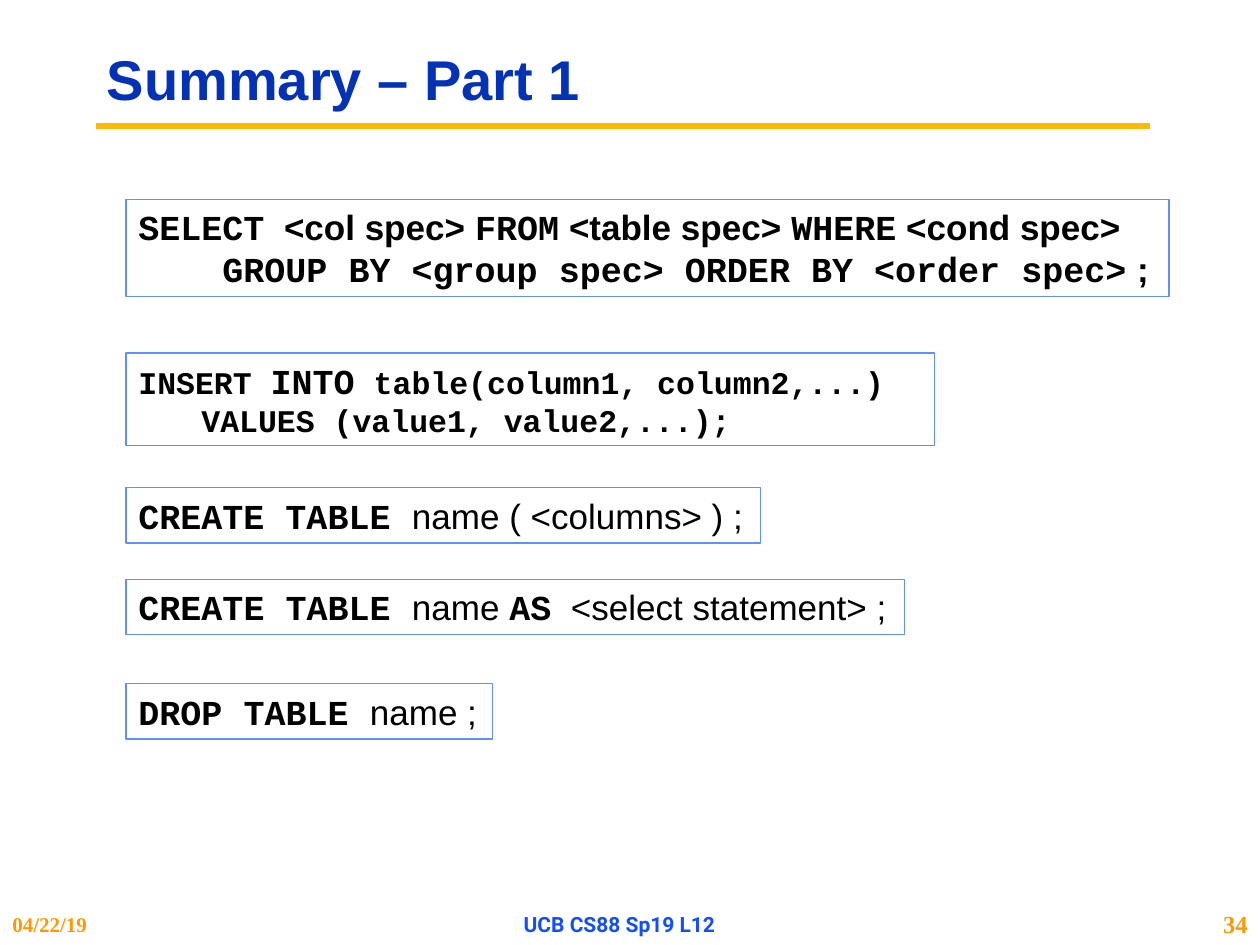
from pptx import Presentation
from pptx.dml.color import RGBColor
from pptx.enum.shapes import MSO_CONNECTOR, MSO_SHAPE
from pptx.enum.text import MSO_ANCHOR, PP_ALIGN
from pptx.oxml.ns import qn
from pptx.util import Pt
from lxml.etree import SubElement

SANS, MONO, SERIF = "Arial", "Courier New", "Times New Roman"
BLACK, BLUE, GOLD, ORANGE = "000000", "0332B7", "FBBA03", "FF9900"
BOX_LINE, FOOTER_BLUE = "618FFD", "114FFB"
BOX_LEFT = 72


def code(text, size=20):
    return text, MONO, size, BLACK, True


def words(text, bold=False):
    return text, SANS, 20, BLACK, bold


# Labels: left, top, width, height, alignment, line spacing, run
LABELS = [
    (54, 18, 606, 58, PP_ALIGN.LEFT, 0.9,
     ("Summary – Part 1", SANS, 32, BLUE, True)),
    (0, 516, 120, 24, PP_ALIGN.LEFT, 1,
     ("04/22/19", SERIF, 12, ORANGE, True)),
    (240, 516, 228, 24, PP_ALIGN.CENTER, 1,
     ("UCB CS88 Sp19 L12", "Roboto", 12, FOOTER_BLUE, True)),
    (678, 516, 42, 24, PP_ALIGN.RIGHT, 1,
     ("34", SERIF, 14, ORANGE, True)),
]

# Statement boxes: top, width, height, lines of runs
STATEMENTS = [
    (114, 596, 55.5, [
        [code("SELECT"), words("  <col spec> ", True), code("FROM"),
         words(" <table spec> ", True), code("WHERE"),
         words(" <cond spec>", True)],
        [code("    GROUP BY <group spec> ORDER BY <order spec>"),
         words(" ;", True)],
    ]),
    (201.75, 462, 53, [
        [code("INSERT ", 18), code("INTO"),
         code(" table(column1, column2,...)", 18)],
        [code("\tVALUES (value1, value2,...);", 18)],
    ]),
    (278.75, 362.5, 31.5, [
        [code("CREATE TABLE "), words("name ( <columns> ) ;")],
    ]),
    (331, 445, 31.5, [
        [code("CREATE TABLE "), words("name "), code("AS"),
         words("  <select statement> ;")],
    ]),
    (390.75, 209.5, 31.5, [
        [code("DROP TABLE "), words("name ;")],
    ]),
]


def color(value):
    return RGBColor.from_string(value)


def write(shape, lines, anchor, align=PP_ALIGN.LEFT, spacing=1):
    frame = shape.text_frame
    frame.word_wrap = True
    frame.vertical_anchor = anchor
    for index, runs in enumerate(lines):
        paragraph = frame.add_paragraph() if index else frame.paragraphs[0]
        paragraph.alignment = align
        paragraph.line_spacing = spacing
        for text, font, size, ink, bold in runs:
            run = paragraph.add_run()
            run.text = text
            run.font.name = font
            run.font.size = Pt(size)
            run.font.bold = bold
            run.font.color.rgb = color(ink)


presentation = Presentation()
presentation.slide_width, presentation.slide_height = Pt(720), Pt(540)
slide = presentation.slides.add_slide(presentation.slide_layouts[6])

# Rule under the title
rule = slide.shapes.add_connector(
    MSO_CONNECTOR.STRAIGHT, Pt(55), Pt(72), Pt(657), Pt(72))
rule.line.color.rgb = color(GOLD)
rule.line.width = Pt(3.75)
SubElement(rule._element.spPr, qn("a:effectLst"))

# Title and footer
for left, top, width, height, align, spacing, run in LABELS:
    label = slide.shapes.add_textbox(Pt(left), Pt(top), Pt(width), Pt(height))
    write(label, [[run]], MSO_ANCHOR.MIDDLE, align, spacing)

# SQL statements
for top, width, height, lines in STATEMENTS:
    box = slide.shapes.add_shape(
        MSO_SHAPE.RECTANGLE, Pt(BOX_LEFT), Pt(top), Pt(width), Pt(height))
    box.shadow.inherit = False
    box.fill.background()
    box.line.color.rgb = color(BOX_LINE)
    box.line.width = Pt(0.75)
    write(box, lines, MSO_ANCHOR.TOP)

presentation.save("out.pptx")
